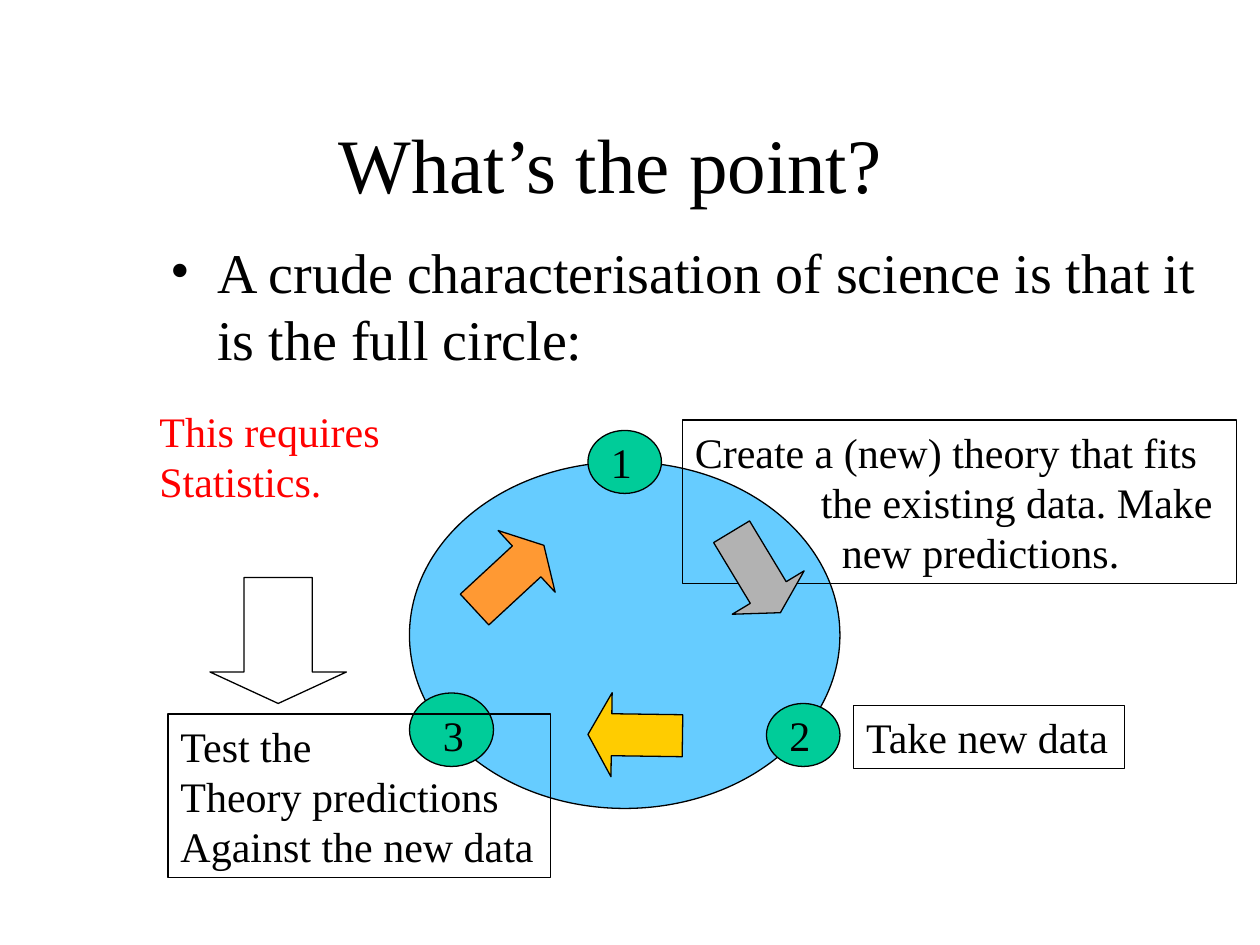
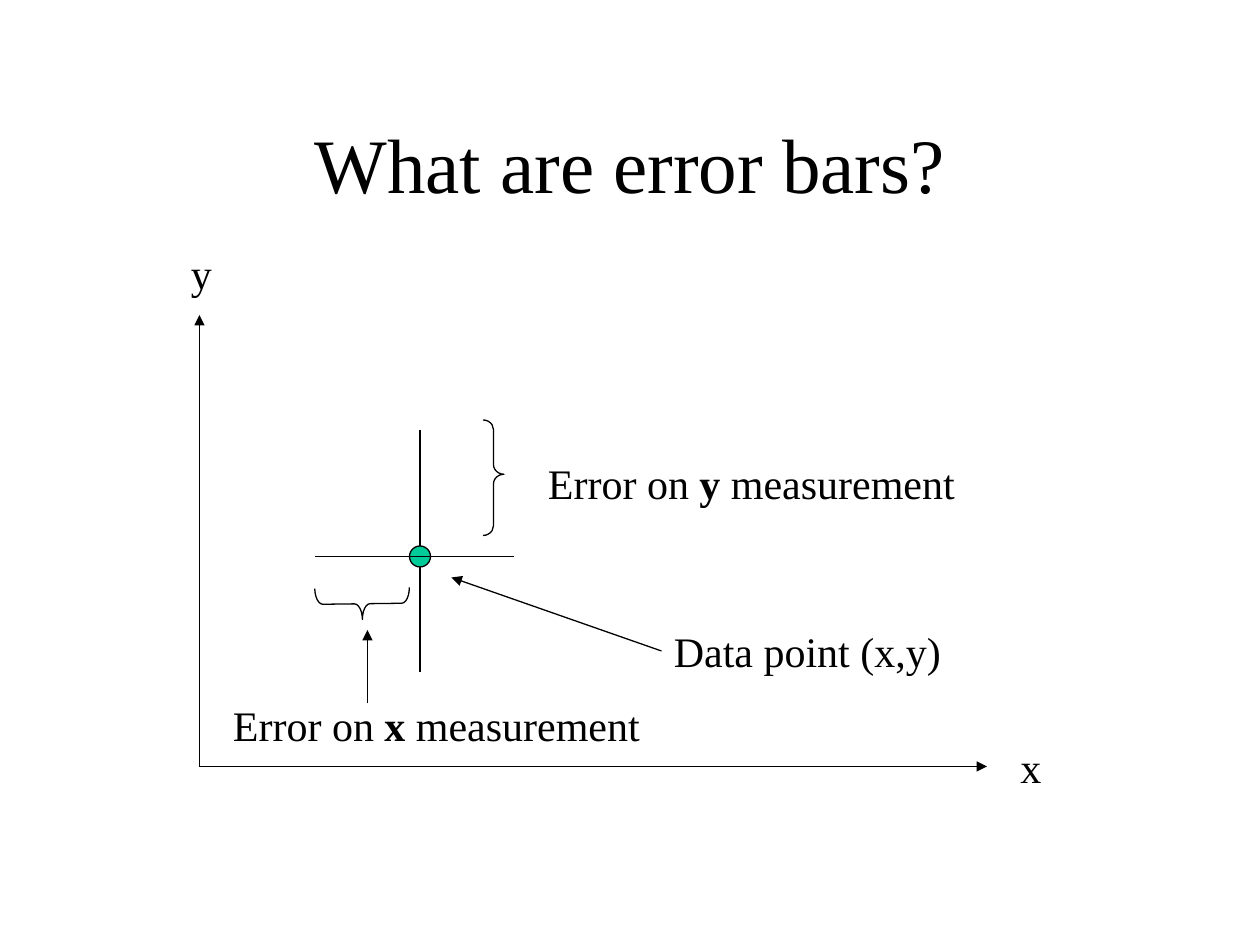
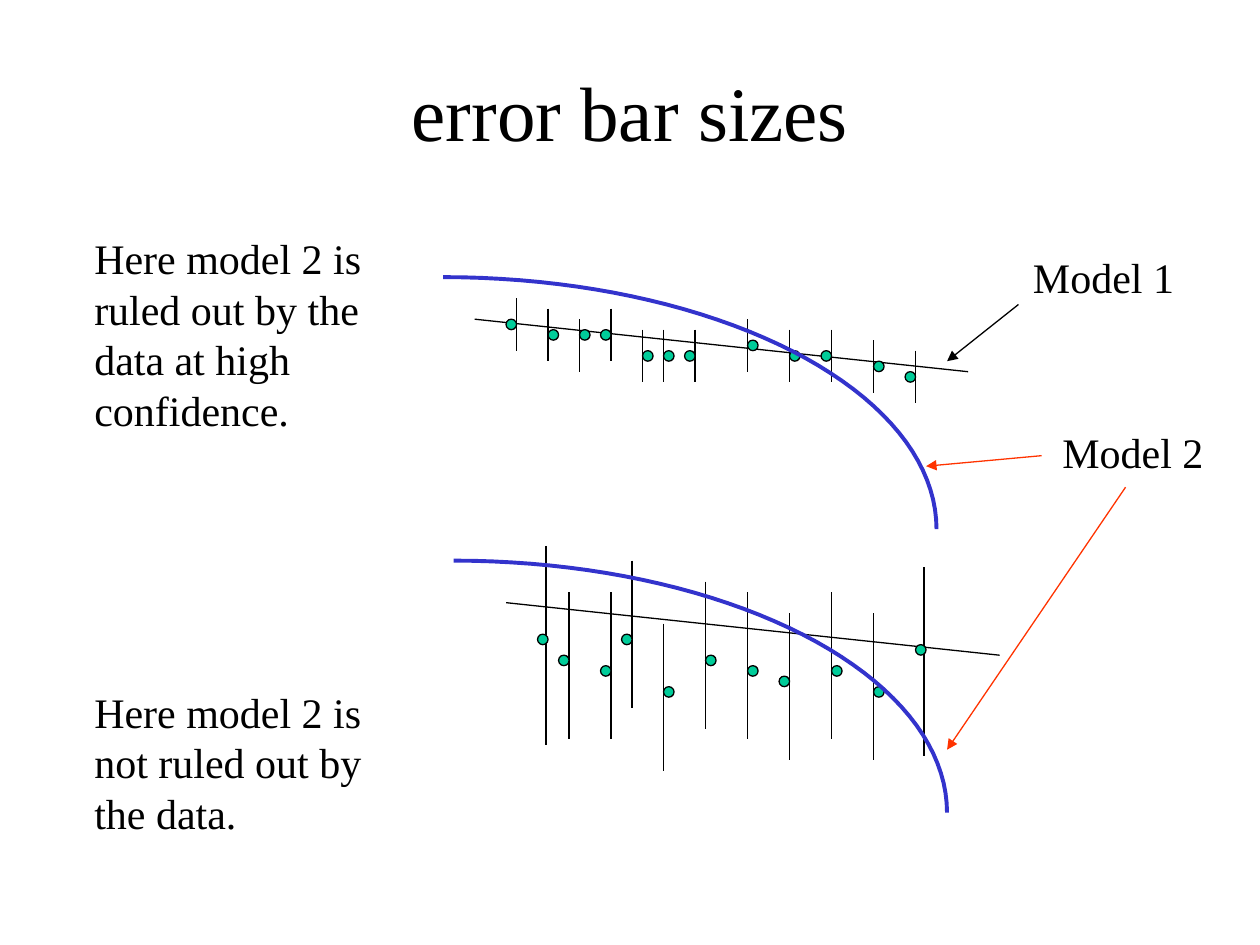
import math
from pptx import Presentation, util as u
from pptx.dml.color import RGBColor
from pptx.enum import shapes, text
from pptx.oxml.ns import qn
from lxml import etree

PX = 7620  # 120 px to the inch
FONT = "Times New Roman"
HUE = {"ink": "000000", "disc": "66CCFF", "dot": "00CC99", "warn": "FF0000",
       "grey": "B2B2B2", "gold": "FFCC00", "orange": "FF9933",
       "curve": "3333CC", "red": "FF3300"}
KIND = shapes.MSO_SHAPE
TITLE = (90, 80, 1020, 150)

# Slide 1: the circle of science
POINT = "A crude characterisation of science is that it is the full circle:"
STEPS = [  # number, its circle, left and top of its label
    ("1", (560, 410, 70, 60), (570, 410)),
    ("2", (730, 670, 70, 60), (740, 670)),
    ("3", (390, 660, 80, 70), (410, 670)),
]
NOTES = [  # lines, indents, box
    (["Create a (new) theory that fits", "the existing data. Make",
      "new predictions."], (0, 120, 140), (650, 400, 528, 156)),
    (["Take new data"], (0,), (813, 672, 258, 60)),
    (["Test the", "Theory predictions", "Against the new data"],
     (0, 0, 0), (160, 680, 364, 156)),
]
TURNS = [  # left, top, angle, colour
    (675, 505, 58.9, "grey"),
    (560, 660, 180.8, "gold"),
    (440, 510, 317.2, "orange"),
]

# Slide 2: one point with its error bars
LABELS = [
    ("x", (960, 700, 43, 60)),
    ("y", (170, 230, 43, 60)),
    ("Error on *y* measurement", (510, 430, 414, 60)),
    ("Error on *x* measurement", (210, 660, 414, 60)),
]
BARS = [(400, 640, 400, 410), (300, 530, 490, 530)]
AXES = [(190, 730, 190, 300), (190, 730, 940, 730)]
BRACES = [  # kind, box, adjustments, angle
    (KIND.RIGHT_BRACE, (460, 400, 20, 110), (0.46, 0.47), 0),
    (KIND.LEFT_BRACE, (330, 530, 30, 90), (0.25, 0.5), 269.3),
]

# Slide 3: small and large errors; bars are x, top, height and dots left, top
SMALL = {
    "bars": [(x, y, 50) for x, y in [
        (492, 284), (522, 294), (552, 304), (582, 294), (612, 314), (632, 314),
        (662, 314), (712, 304), (752, 314), (792, 314), (832, 324), (872, 334)]],
    "dots": [(482, 304), (522, 314), (552, 314), (572, 314), (612, 334), (632, 334),
             (652, 334), (712, 324), (752, 334), (782, 334), (832, 344), (862, 354)],
    "line": (452, 304, 922, 354),
    "curve": (422, 264),
}
LARGE = {
    "bars": [(520, 520, 190), (880, 540, 180)] + [(x, y, 140) for x, y in [
        (542, 564), (582, 564), (602, 534), (632, 594), (672, 554),
        (712, 564), (752, 584), (792, 564), (832, 584)]],
    "dots": [(512, 604), (532, 624), (572, 634), (592, 604), (632, 654), (672, 624),
             (712, 634), (742, 644), (792, 634), (832, 654), (872, 614)],
    "line": (482, 574, 952, 624),
    "curve": (432, 534),
}
MODELS = [("Model 1", (972, 234, 168, 60)), ("Model 2", (1000, 400, 168, 60))]
POINTERS = [
    (970, 290, 902, 344, "ink"),
    (992, 434, 882, 444, "red"),
    (1072, 464, 902, 714, "red"),
]
RULED = ["Here model 2 is", "ruled out by the", "data at high", "confidence."]
KEPT = ["Here model 2 is", "not ruled out by", "the data."]


def emu(vals):
    return [u.Emu(v * PX) for v in vals]


def rgb(name):
    return RGBColor.from_string(HUE[name])


def put(obj, **vals):
    for key, val in vals.items():
        setattr(obj, key, val)


def place(shape, box):
    put(shape, **dict(zip(("left", "top", "width", "height"), emu(box))))


def style(font, size, hue="ink"):
    put(font, name=FONT, size=u.Pt(size))
    font.color.rgb = rgb(hue)


def outline(shape, hue="ink", width=0.75):
    shape.line.color.rgb = rgb(hue)
    shape.line.width = u.Pt(width)


def draw(slide, kind, box, fill=None, adj=(), angle=0):
    shape = slide.shapes.add_shape(kind, *emu(box))
    shape.shadow.inherit = False
    shape.rotation = angle
    for i, val in enumerate(adj):
        shape.adjustments[i] = val
    if fill:
        shape.fill.solid()
        shape.fill.fore_color.rgb = rgb(fill)
    else:
        shape.fill.background()
    outline(shape)
    return shape


def link(slide, ends, hue="ink", arrow=False):
    line = slide.shapes.add_connector(shapes.MSO_CONNECTOR.STRAIGHT, *emu(ends))
    outline(line, hue)
    if arrow:
        etree.SubElement(line.line._get_or_add_ln(), qn("a:tailEnd"), type="triangle")
    etree.SubElement(line._element.spPr, qn("a:effectLst"))
    return line


def write(slide, lines, box, hue="ink", indents=None, gaps=None):
    """Add a text box; words between asterisks are bold, gaps maps line to points."""
    label = slide.shapes.add_textbox(*emu(box))
    frame = label.text_frame
    put(frame, word_wrap=False, auto_size=text.MSO_AUTO_SIZE.SHAPE_TO_FIT_TEXT)
    for i, line in enumerate(lines):
        para = frame.paragraphs[0] if i == 0 else frame.add_paragraph()
        if indents and indents[i]:
            para._p.get_or_add_pPr().set("marL", str(indents[i] * PX))
        if gaps and i in gaps:
            para.space_before = u.Pt(gaps[i])
        for n, part in enumerate(line.split("*")):
            run = para.add_run()
            run.text = part
            style(run.font, 24, hue)
            run.font.bold = n % 2 == 1
    return label


def start(deck, layout, title, box=TITLE):
    slide = deck.slides.add_slide(deck.slide_layouts[layout])
    head = slide.shapes.title
    place(head, box)
    head.text_frame.text = title
    put(head.text_frame, auto_size=text.MSO_AUTO_SIZE.NONE, word_wrap=True,
        vertical_anchor=text.MSO_ANCHOR.MIDDLE)
    para = head.text_frame.paragraphs[0]
    para.alignment = text.PP_ALIGN.CENTER
    style(para.runs[0].font, 44)
    return slide


def circle(deck):
    slide = start(deck, 1, "What’s the point?")
    slide.shapes.title.text_frame.margin_right = u.Emu(49 * PX)
    body = slide.placeholders[1]
    place(body, (150, 220, 1020, 540))
    body.text_frame.text = POINT
    body.text_frame.auto_size = text.MSO_AUTO_SIZE.NONE
    para = body.text_frame.paragraphs[0]
    props = para._p.get_or_add_pPr()
    for key, val in {"marL": 45, "indent": -45}.items():
        props.set(key, str(val * PX))
    etree.SubElement(props, qn("a:buFont"), typeface=FONT)
    etree.SubElement(props, qn("a:buChar"), char="•")
    para.space_before = u.Pt(0)
    style(para.runs[0].font, 32)

    draw(slide, KIND.OVAL, (390, 440, 410, 330), "disc")
    for _, box, _ in STEPS:
        draw(slide, KIND.OVAL, box, "dot")
    for lines, indents, box in NOTES:
        outline(write(slide, lines, box, indents=indents))
    for num, _, spot in STEPS:
        write(slide, [num], (*spot, 43, 60))
    draw(slide, KIND.DOWN_ARROW, (200, 550, 130, 120), adj=(0.5, 0.25))
    write(slide, ["This requires", "Statistics."], (140, 380, 244, 108), "warn")
    for x, y, angle, hue in TURNS:
        draw(slide, KIND.RIGHT_ARROW, (x, y, 90, 80), hue, (0.5, 0.28), angle)


def anatomy(deck):
    slide = start(deck, 5, "What are error bars?")
    upright, level = BARS
    link(slide, upright)
    draw(slide, KIND.OVAL, (390, 520, 20, 20), "dot")
    link(slide, level)
    for ends in AXES + [(350, 670, 350, 600)]:
        link(slide, ends, arrow=True)
    for kind, box, adj, angle in BRACES:
        draw(slide, kind, box, None, adj, angle)
    for words, box in LABELS:
        write(slide, [words], box)
    point = write(slide, ["Data point (x,y)"], (630, 590, 280, 60))
    link(slide, (630, 620, 430, 550), arrow=True).begin_connect(point, 1)


def arc(slide, left, top, wide=470, high=240, steps=40):
    """Draw a quarter ellipse from its top to its right end."""
    turns = [math.pi / 2 * i / steps for i in range(steps + 1)]
    dots = [((left + wide * math.sin(t)) * PX, (top + high * (1 - math.cos(t))) * PX)
            for t in turns]
    pen = slide.shapes.build_freeform(*dots[0])
    pen.add_line_segments(dots[1:], close=False)
    curve = pen.convert_to_shape()
    curve.shadow.inherit = False
    curve.fill.background()
    outline(curve, "curve", 2.25)


def sizes(deck):
    slide = start(deck, 5, "error bar sizes", (90, 30, 1020, 150))
    plots = (SMALL, LARGE)
    for plot in plots:
        for x, y, high in plot["bars"]:
            link(slide, (x, y, x, y + high))
        link(slide, plot["line"])
    for plot in plots:
        for spot in plot["dots"]:
            draw(slide, KIND.OVAL, (*spot, 10, 10), "dot")
        arc(slide, *plot["curve"])
    for *ends, hue in POINTERS:
        link(slide, ends, hue, arrow=True)
    for name, box in MODELS:
        write(slide, [name], box)
    write(slide, RULED + KEPT, (78, 216, 288, 588), gaps={len(RULED): 144})


def main():
    deck = Presentation()
    put(deck, slide_width=u.Inches(10), slide_height=u.Inches(7.5))
    for build in (circle, anatomy, sizes):
        build(deck)
    deck.save("out.pptx")


if __name__ == "__main__":
    main()
